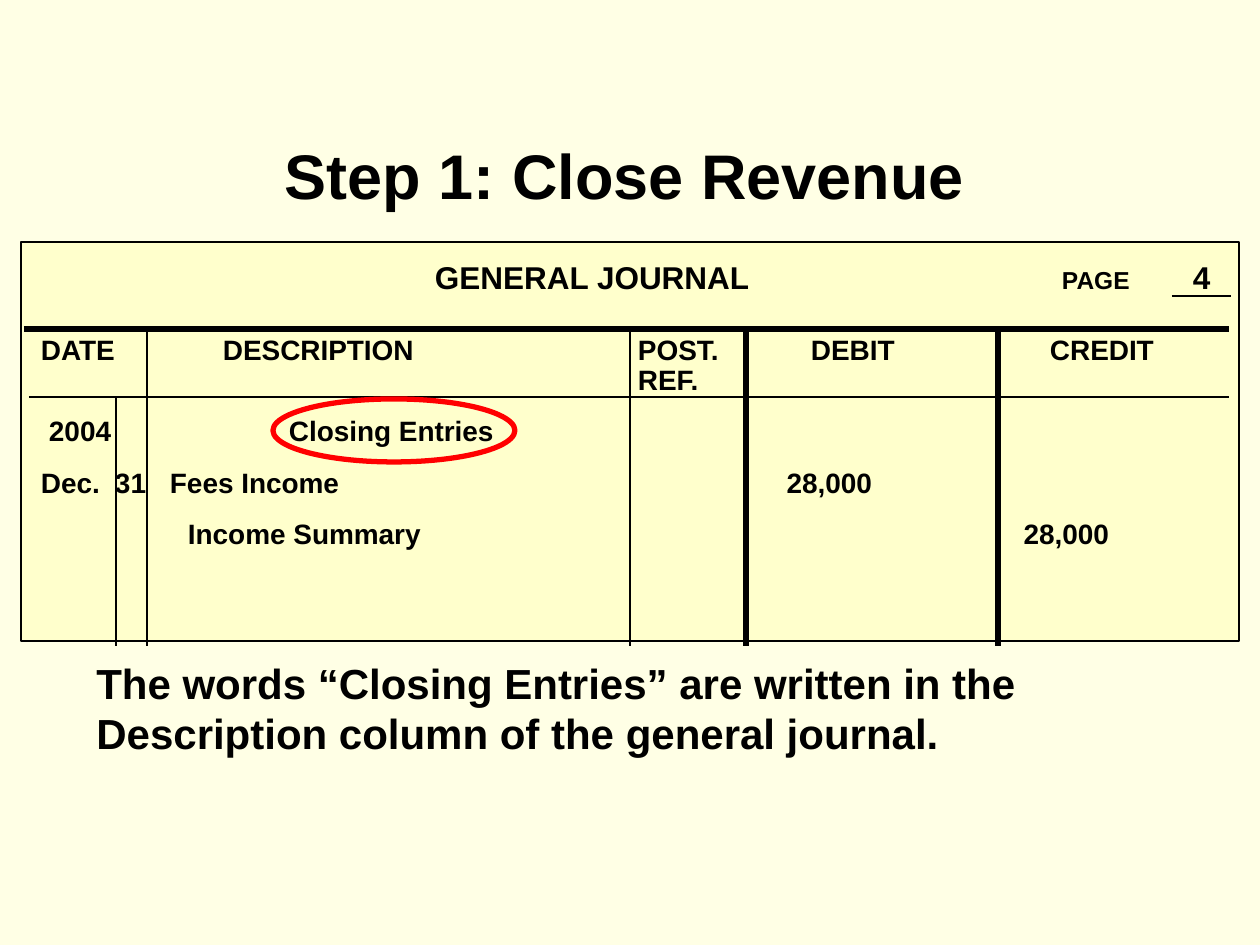
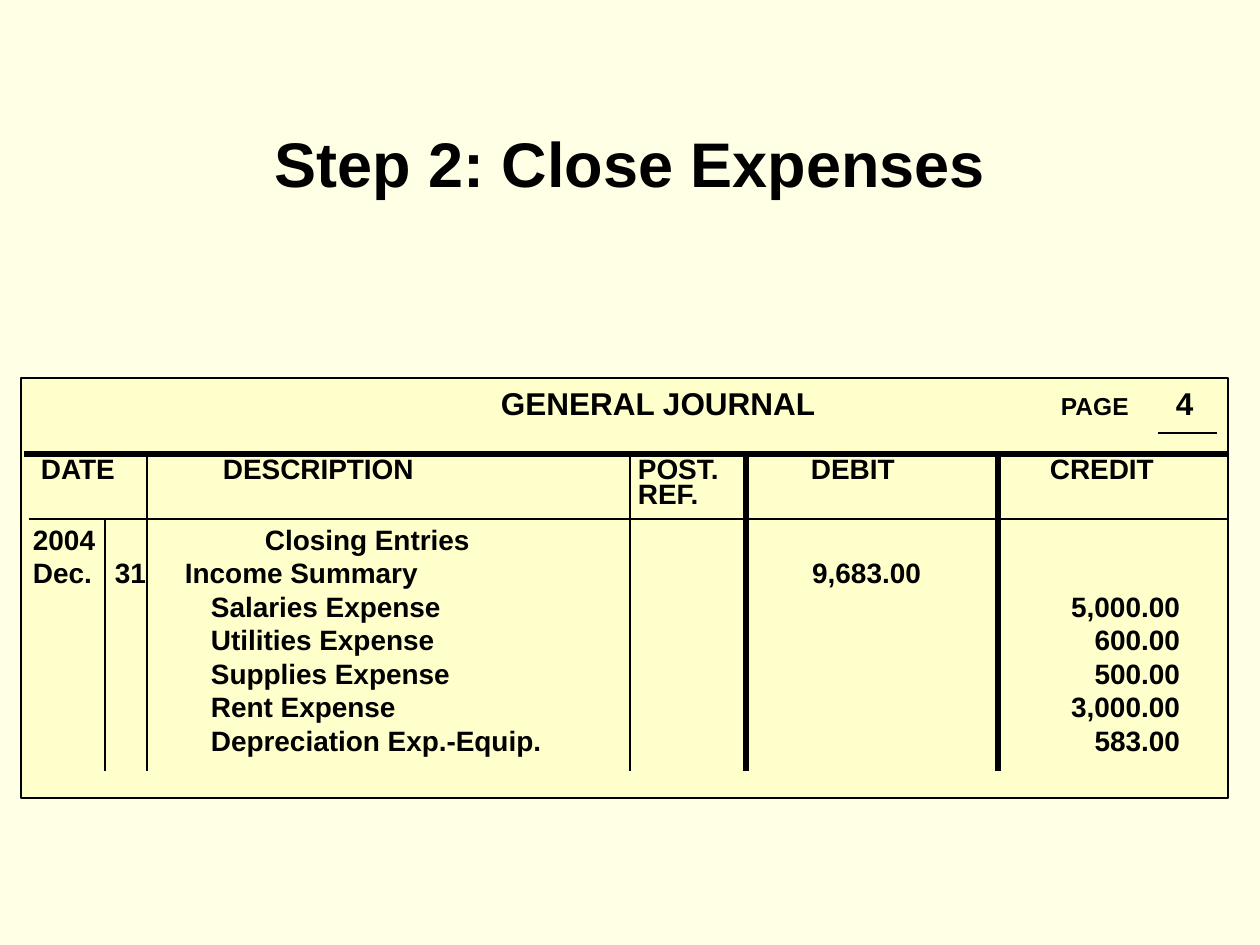
"""Build two slides showing the closing entries in a general journal."""
from lxml import etree
from pptx import Presentation
from pptx.dml.color import RGBColor
from pptx.enum.shapes import MSO_CONNECTOR, MSO_SHAPE
from pptx.enum.text import MSO_ANCHOR, MSO_AUTO_SIZE, PP_ALIGN
from pptx.oxml.ns import qn
from pptx.util import Emu, Pt

STRAIGHT = MSO_CONNECTOR.STRAIGHT
RECTANGLE, OVAL = MSO_SHAPE.RECTANGLE, MSO_SHAPE.OVAL
TOP, NO_AUTOFIT = MSO_ANCHOR.TOP, MSO_AUTO_SIZE.NONE
LEFT, CENTER = PP_ALIGN.LEFT, PP_ALIGN.CENTER

BACKGROUND, PAPER, INK, MARK = "FFFFE5", "FFFFCC", "000000", "FF0000"
FONT = "Arial"
JOURNAL_LEFT, JOURNAL_INSET = 21, 8
AMOUNT_COLUMNS = ("debit amount", "credit amount")
HEADER_COLUMNS = {"date": 41, "description": 223, "post": 638, "debit": 811, "credit": 1050}

HEADING = [("heading", "GENERAL JOURNAL"), ("page", "PAGE"), ("page number", "4")]
HEADER = [("date", "DATE"), ("description", "DESCRIPTION"), ("post", "POST."),
          ("debit", "DEBIT"), ("credit", "CREDIT")]
EXPENSES = [("Salaries Expense", "5,000.00"), ("Utilities Expense", "600.00"),
            ("Supplies Expense", "500.00"), ("Rent Expense", "3,000.00"),
            ("Depreciation Exp.-Equip.", "583.00")]

steps = [
    {
        "title": "Step 1: Close Revenue", "title_box": (220, 130, 809, 88),
        "journal": (242, 1218, 399), "top_inset": 16, "rule": 329, "header_rule": 397,
        "day_line": 116, "page_line": (1172, 296),
        "header_gap": 23, "header_spacing": 0.9, "first_gap": 10, "entry_gap": 10,
        "columns": {"heading": 435, "page": 1062, "page number": 1193, "year": 49,
                    "month": 41, "day": 115, "words": 289, "debit account": 170,
                    "credit account": 188, "debit amount": 872, "credit amount": 1109},
        "entries": [
            [("year", "2004"), ("words", "Closing Entries")],
            [("month", "Dec."), ("day", "31"), ("debit account", "Fees Income"),
             ("debit amount", "28,000")],
            [("credit account", "Income Summary"), ("credit amount", "28,000")],
        ],
    },
    {
        "title": "Step 2: Close Expenses", "title_box": (262, 118, 736, 88),
        "journal": (378, 1207, 420), "top_inset": 6, "rule": 454, "header_rule": 519,
        "day_line": 105, "page_line": (1158, 433),
        "header_gap": 21.5, "header_spacing": 0.75, "first_gap": 7, "entry_gap": 0,
        "columns": {"heading": 501, "page": 1061, "page number": 1176, "year": 33,
                    "month": 33, "day": 115, "words": 265, "debit account": 185,
                    "credit account": 211, "debit amount": 921, "credit amount": 1180},
        "entries": [
            [("year", "2004"), ("words", "Closing Entries")],
            [("month", "Dec."), ("day", "31"), ("debit account", "Income Summary"),
             ("debit amount", "9,683.00")],
        ] + [[("credit account", account), ("credit amount", amount)]
             for account, amount in EXPENSES],
    },
]


def px(*lengths):
    return [Emu(round(length * 914400 / 126)) for length in lengths]


def color(target, value):
    target.rgb = RGBColor.from_string(value)


prs = Presentation()
prs.slide_width, prs.slide_height = px(1260, 945)
master_fill = prs.slide_master.background.fill
master_fill.solid()
color(master_fill.fore_color, BACKGROUND)
title_only = prs.slide_layouts[5]

for step in steps:
    slide = prs.slides.add_slide(title_only)
    shapes = slide.shapes

    title = shapes.title
    title.left, title.top, title.width, title.height = px(*step["title_box"])
    title.text_frame.text = step["title"]
    title.text_frame.auto_size = NO_AUTOFIT
    title.text_frame.vertical_anchor = TOP
    title.text_frame.paragraphs[0].alignment = CENTER
    styled_runs = [(title.text_frame.paragraphs[0].runs[0], 36)]

    top, width, height = step["journal"]
    journal = shapes.add_shape(RECTANGLE, *px(JOURNAL_LEFT, top, width, height))
    journal.shadow.inherit = False
    journal.fill.solid()
    color(journal.fill.fore_color, PAPER)
    color(journal.line.color, INK)
    journal.line.width = Pt(1)
    page = journal.text_frame
    page.word_wrap = True
    page.vertical_anchor = TOP
    page.margin_left, page.margin_right, page.margin_top = px(
        JOURNAL_INSET, JOURNAL_INSET, step["top_inset"])

    columns = {**HEADER_COLUMNS, **step["columns"]}
    spacing = step["header_spacing"]
    rows = [(HEADING, 18, 0, 1.0), (HEADER, 16, step["header_gap"], spacing),
            ([("post", "REF.")], 16, 0, spacing)]
    for number, entry in enumerate(step["entries"]):
        rows.append((entry, 16, step["entry_gap"] if number else step["first_gap"], 1.0))

    for number, (cells, size, gap, line_spacing) in enumerate(rows):
        row = page.add_paragraph() if number else page.paragraphs[0]
        row.alignment = LEFT
        row.line_spacing = line_spacing
        if gap:
            row.space_before = Pt(gap)
        tab_stops = etree.SubElement(row._p.get_or_add_pPr(), qn("a:tabLst"))
        for column, text in cells:
            position = px(columns[column] - JOURNAL_LEFT - JOURNAL_INSET)[0]
            side = "r" if column in AMOUNT_COLUMNS else "l"
            etree.SubElement(tab_stops, qn("a:tab"), pos=str(int(position)), algn=side)
            run = row.add_run()
            run.text = "\t" + text
            styled_runs.append((run, 14 if column == "page" else size))

    rule, header_rule = step["rule"], step["header_rule"]
    page_x, page_y = step["page_line"]
    bottom = rule + 317
    rulings = [(page_x, page_y, page_x + 59, page_y, 1),
               (29, header_rule, 1229, header_rule, 1),
               (24, rule, 1229, rule, 3),
               (step["day_line"], header_rule, step["day_line"], bottom, 1)]
    rulings += [(x, rule, x, bottom, weight)
                for x, weight in ((147, 1), (630, 1), (746, 3), (998, 3))]
    for *ends, weight in rulings:
        ruling = shapes.add_connector(STRAIGHT, *px(*ends))
        color(ruling.line.color, INK)
        ruling.line.width = Pt(weight)
        etree.SubElement(ruling._element.spPr, qn("a:effectLst"))

    if step is steps[0]:
        highlight = shapes.add_shape(OVAL, *px(273, 399, 242, 63))
        highlight.shadow.inherit = False
        highlight.fill.background()
        color(highlight.line.color, MARK)
        highlight.line.width = Pt(3)

        note = shapes.add_textbox(*px(84, 651, 1124, 113)).text_frame
        note.word_wrap = True
        note.text = ("The words “Closing Entries” are written in the "
                     "Description column of the general journal.")
        styled_runs.append((note.paragraphs[0].runs[0], 24))

    for run, size in styled_runs:
        run.font.name = FONT
        run.font.size = Pt(size)
        run.font.bold = True
        color(run.font.color, INK)

prs.save("out.pptx")
